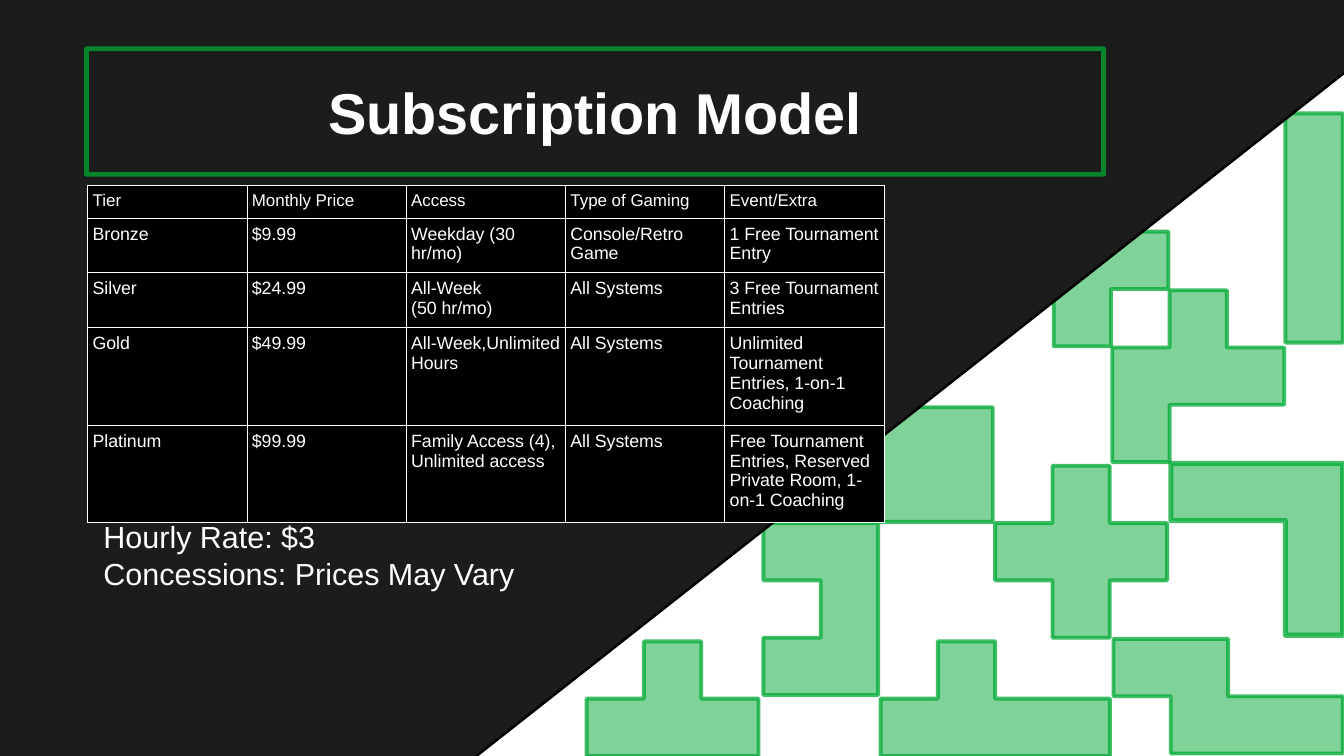
from pptx import Presentation
from pptx.dml.color import RGBColor
from pptx.enum.shapes import MSO_SHAPE
from pptx.enum.text import MSO_ANCHOR, PP_ALIGN
from pptx.oxml import parse_xml
from pptx.oxml.ns import nsdecls, qn
from pptx.util import Inches, Pt
from lxml import etree

RIGHT_TRIANGLE = MSO_SHAPE.RIGHT_TRIANGLE
TOP, MIDDLE = MSO_ANCHOR.TOP, MSO_ANCHOR.MIDDLE
LEFT, CENTER = PP_ALIGN.LEFT, PP_ALIGN.CENTER

FONT = "Arial"
COLORS = {
    "white": "FFFFFF",
    "black": "000000",
    "dark": "1C1C1C",
    "green": "00A933",
}

# Game blocks: position in inches, line width in points, outline in grid units
UNIT = 0.47
BLOCKS = [
    (9.13, 5.24, 2.3, [(0, 0), (2, 0), (2, 1), (4, 1), (4, 2), (1, 2), (1, 1), (0, 1)]),
    (8.16, 3.82, 2.3, [(1, 0), (2, 0), (2, 1), (3, 1), (3, 2), (2, 2),
                       (2, 3), (1, 3), (1, 2), (0, 2), (0, 1), (1, 1)]),
    (10.54, 0.93, 2.3, [(0, 0), (1, 0), (1, 4), (0, 4)]),
    (6.26, 4.29, 2.3, [(0, 0), (2, 0), (2, 3), (0, 3), (0, 2), (1, 2), (1, 1), (0, 1)]),
    (7.2, 3.34, 2.3, [(0, 0), (2, 0), (2, 2), (0, 2)]),
    (9.6, 3.8, 3, [(0, 0), (3, 0), (3, 3), (2, 3), (2, 1), (0, 1)]),
    (8.64, 1.9, 2.3, [(0, 0), (2, 0), (2, 1), (1, 1), (1, 2), (0, 2)]),
    (7.22, 5.26, 2.3, [(1, 0), (2, 0), (2, 1), (4, 1), (4, 2), (0, 2), (0, 1), (1, 1)]),
    (4.81, 5.26, 2.3, [(1, 0), (2, 0), (2, 1), (3, 1), (3, 2), (0, 2), (0, 1), (1, 1)]),
    (9.12, 2.38, 2.3, [(1, 0), (2, 0), (2, 1), (3, 1), (3, 2), (1, 2),
                       (1, 3), (0, 3), (0, 1), (1, 1)]),
]

TIERS = [
    ["Tier", "Monthly Price", "Access", "Type of Gaming", "Event/Extra"],
    ["Bronze", "$9.99", "Weekday (30 hr/mo)", "Console/Retro Game", "1 Free Tournament Entry"],
    ["Silver", "$24.99", "All-Week\n(50 hr/mo)", "All Systems", "3 Free Tournament Entries"],
    ["Gold", "$49.99", "All-Week,Unlimited Hours", "All Systems",
     "Unlimited Tournament Entries, 1-on-1 Coaching"],
    ["Platinum", "$99.99", "Family Access (4), Unlimited access", "All Systems",
     "Free Tournament Entries, Reserved Private Room, 1-on-1 Coaching"],
]
ROW_HEIGHTS = [0.23, 0.4, 0.4, 0.73, 0.73]


def rgb(name):
    return RGBColor.from_string(COLORS[name])


def set_opacity(color_format_parent, percent):
    """Add an opacity to the solid fill found in the given element."""
    color = color_format_parent.find(qn("a:solidFill"))[0]
    etree.SubElement(color, qn("a:alpha")).set("val", str(percent * 1000))


def set_line(shape, color, width, opacity=100):
    shape.line.color.rgb = rgb(color)
    shape.line.width = Pt(width)
    if opacity < 100:
        set_opacity(shape.line._get_or_add_ln(), opacity)


def style_paragraphs(text_frame, size, bold=False, align=LEFT):
    for paragraph in text_frame.paragraphs:
        paragraph.alignment = align
        paragraph.font.name = FONT
        paragraph.font.size = Pt(size)
        paragraph.font.bold = bold
        paragraph.font.color.rgb = rgb("white")


def add_text(slide, box, text, size, margins, anchor=TOP, bold=False, align=LEFT):
    shape = slide.shapes.add_textbox(*map(Inches, box))
    frame = shape.text_frame
    frame.word_wrap = True
    frame.vertical_anchor = anchor
    frame.margin_left = frame.margin_right = Inches(margins[0])
    frame.margin_top = frame.margin_bottom = Inches(margins[1])
    frame.text = text
    style_paragraphs(frame, size, bold, align)
    return shape


def add_block(slide, left, top, line_width, outline):
    points = [(x * Inches(UNIT), y * Inches(UNIT)) for x, y in outline]
    builder = slide.shapes.build_freeform(*points[0])
    builder.add_line_segments(points[1:], close=True)
    block = builder.convert_to_shape(Inches(left), Inches(top))
    block.shadow.inherit = False
    block.fill.solid()
    block.fill.fore_color.rgb = rgb("green")
    set_opacity(block._element.spPr, 50)
    set_line(block, "green", line_width, 75)


def add_backdrop(slide, box):
    for block in BLOCKS:
        add_block(slide, *block)
    # Dark corner that cuts across the blocks
    corner = slide.shapes.add_shape(RIGHT_TRIANGLE, *map(Inches, box))
    corner.rotation = 89.9
    corner.shadow.inherit = False
    corner.fill.solid()
    corner.fill.fore_color.rgb = rgb("dark")
    set_line(corner, "black", 1.45)


def add_title(slide, box):
    title = add_text(slide, box, "Subscription Model", 34, (0, 0), MIDDLE, True, CENTER)
    set_line(title, "green", 2.89, 75)


def style_cell(cell, size):
    cell.margin_left = cell.margin_right = Inches(0.04)
    cell.margin_top = cell.margin_bottom = Inches(0.05)
    properties = cell._tc.get_or_add_tcPr()
    for side in ("lnL", "lnR", "lnT", "lnB"):
        properties.append(parse_xml(
            f'<a:{side} {nsdecls("a")} w="{Pt(0.57)}"><a:solidFill>'
            f'<a:srgbClr val="{COLORS["white"]}"/></a:solidFill></a:{side}>'))
    cell.fill.solid()
    cell.fill.fore_color.rgb = rgb("black")
    style_paragraphs(cell.text_frame, size)


def add_tier_table(slide, box):
    frame = slide.shapes.add_table(len(TIERS), len(TIERS[0]), *map(Inches, box))
    table = frame.table
    table.first_row = table.horz_banding = False
    for column in table.columns:
        column.width = Inches(box[2] / len(TIERS[0]))
    for row_index, (texts, height) in enumerate(zip(TIERS, ROW_HEIGHTS)):
        table.rows[row_index].height = Inches(height)
        for column_index, text in enumerate(texts):
            cell = table.cell(row_index, column_index)
            cell.text = text
            style_cell(cell, 10 if row_index == 0 else 10.5)


def add_rates(slide, box):
    add_text(slide, box, "Hourly Rate: $3\nConcessions: Prices May Vary", 18, (0.1, 0.05))


def main():
    presentation = Presentation()
    presentation.slide_width = Inches(11.02)
    presentation.slide_height = Inches(6.2)
    slide = presentation.slides.add_slide(presentation.slide_layouts[6])

    add_backdrop(slide, (1.43, -2.85, 10.67, 13.6))
    add_title(slide, (0.71, 0.4, 8.34, 1.03))
    add_tier_table(slide, (0.72, 1.52, 6.53, 2.49))
    add_rates(slide, (0.75, 4.2, 4.32, 1.06))

    presentation.save("out.pptx")


if __name__ == "__main__":
    main()
